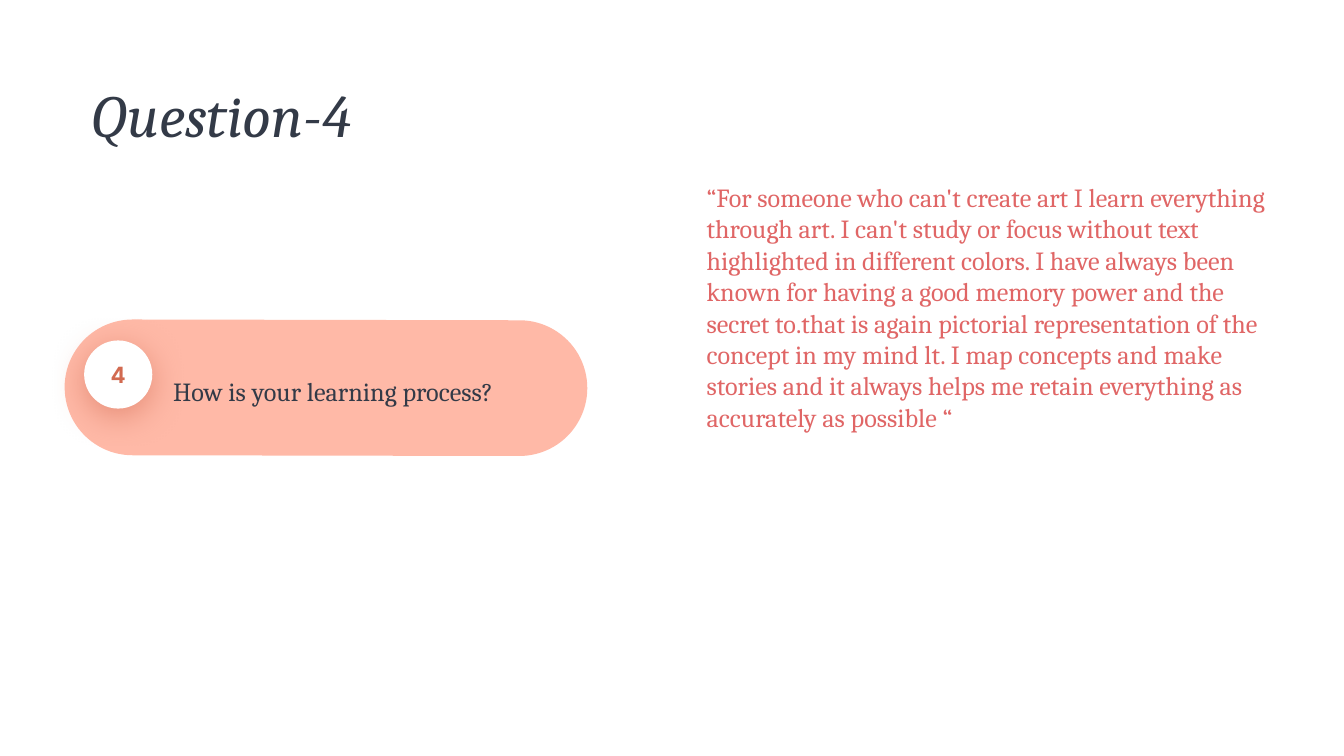
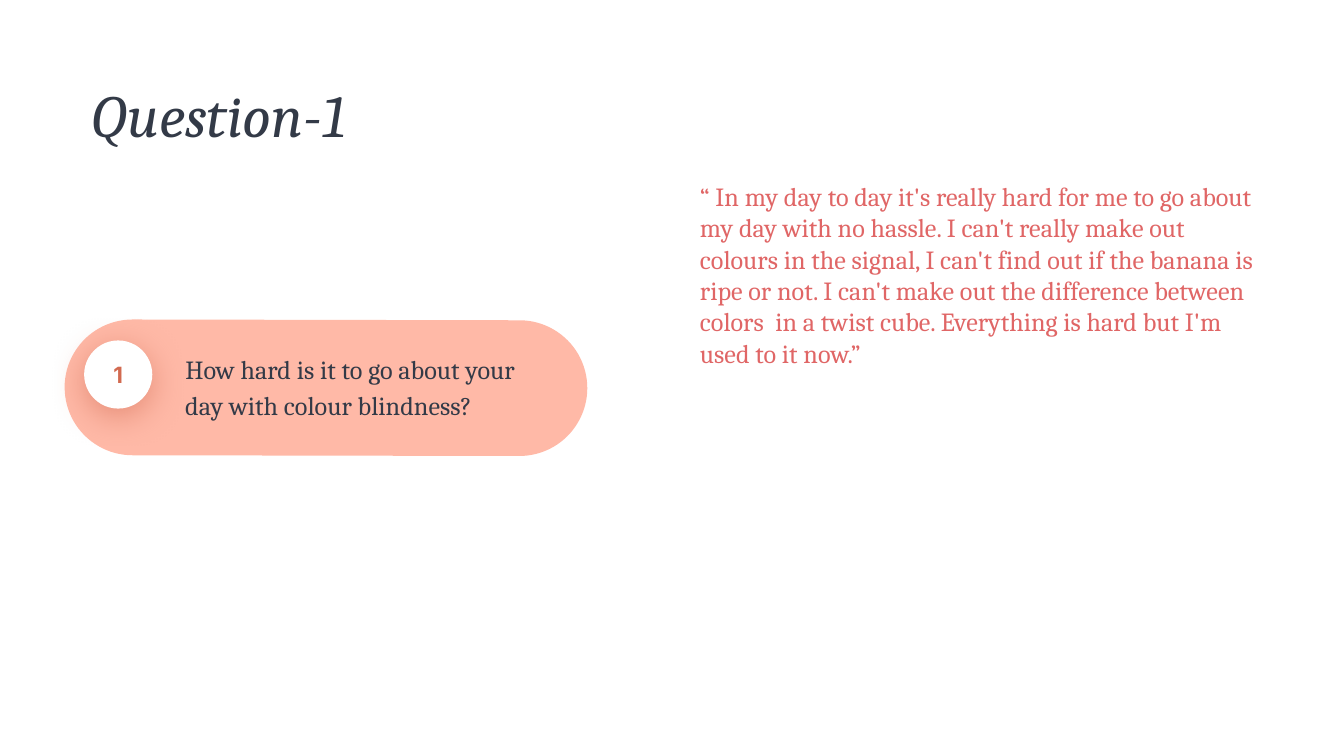
from lxml import etree
from pptx import Presentation
from pptx.dml.color import RGBColor
from pptx.enum import shapes, text
from pptx.oxml import ns
from pptx.util import Pt

SERIF, SANS = "Cambria", "Inter"
INK, PEACH, RUST, CORAL, WHITE = "333A47", "FFB9A7", "D26A50", "E06666", "FFFFFF"
TITLE_BOX = (48.5, 46.1, 323.3, 34.6)
PILL_BOX = (34.6, 171.4, 280, 72.7)
TILT = 0.1

QUESTIONS = [
    {
        "number": 4,
        "question": "How is your learning process?",
        "indent": 51.1,
        "height": 48.2,
        "answer": "“For someone who can't create art I learn everything through art. "
                  "I can't study or focus without text highlighted in different colors. "
                  "I have always been known for having a good memory power and the secret "
                  "to.that is again pictorial representation of the concept in my mind lt. "
                  "I map concepts and make stories and it always helps me retain everything "
                  "as accurately as possible “",
        "answer_box": (371.5, 90, 319, 167),
    },
    {
        "number": 1,
        "question": "How hard is it to go about your day with colour blindness?",
        "indent": 57.6,
        "height": 43.9,
        "answer": "“ In my day to day it's really hard for me to go about my day with no "
                  "hassle. I can't really make out colours in the signal, I can't find out "
                  "if the banana is ripe or not. I can't make out the difference between "
                  "colors  in a twist cube. Everything is hard but I'm used to it now.”",
        "answer_box": (367.9, 89.3, 319, 116.6),
    },
]


def rgb(value):
    """Turn a hex string into a colour."""
    return RGBColor.from_string(value)


def pts(box):
    """Turn a box of numbers into lengths in points."""
    return [Pt(v) for v in box]


def write(sp, words, size, color, font=SERIF, bold=False, italic=False,
          align=text.PP_ALIGN.LEFT, anchor=text.MSO_ANCHOR.MIDDLE,
          spacing=1.0, inset=7.2, fit=text.MSO_AUTO_SIZE.NONE):
    """Fill a shape with one formatted paragraph."""
    tf = sp.text_frame
    tf.word_wrap, tf.auto_size, tf.vertical_anchor = True, fit, anchor
    tf.margin_left = tf.margin_right = tf.margin_top = tf.margin_bottom = Pt(inset)
    p = tf.paragraphs[0]
    p.alignment, p.line_spacing = align, spacing
    r = p.add_run()
    r.text = words
    f = r.font
    f.name, f.size, f.bold, f.italic = font, Pt(size), bold, italic
    f.color.rgb = rgb(color)


def add_block(parent, kind, box, fill):
    """Add a borderless filled shape without a shadow."""
    sp = parent.add_shape(kind, *pts(box))
    sp.shadow.inherit = False
    sp.fill.solid()
    sp.fill.fore_color.rgb = rgb(fill)
    sp.line.fill.background()
    return sp


def add_glow(sp, color, alpha, blur, distance):
    """Cast a soft shadow straight down from a shape."""
    effects = sp._element.spPr.find(ns.qn("a:effectLst"))
    shadow = etree.SubElement(effects, ns.qn("a:outerShdw"), blurRad=str(Pt(blur)),
                              dist=str(Pt(distance)), dir="5400000",
                              algn="t", rotWithShape="0")
    tint = etree.SubElement(shadow, ns.qn("a:srgbClr"), val=color)
    etree.SubElement(tint, ns.qn("a:alpha"), val=str(alpha * 1000))


def add_title(s, box, words):
    """Place and format the slide title."""
    sp = s.shapes.title
    sp.left, sp.top, sp.width, sp.height = pts(box)
    write(sp, words, 32, INK, italic=True, spacing=0.9, inset=0)


def add_question(s, box, number, question, indent, height):
    """Draw the pill with its number badge and question."""
    x, y, w, h = box
    parts = s.shapes.add_group_shape().shapes
    upright = (x + (w - h) / 2, y + (h - w) / 2, h, w)
    pill = add_block(parts, shapes.MSO_SHAPE.ROUNDED_RECTANGLE, upright, PEACH)
    pill.adjustments[0] = 0.5
    pill.rotation = 90 + TILT

    badge = add_block(parts, shapes.MSO_SHAPE.OVAL, (x + 10.5, y + 11, 36.5, 36.5), WHITE)
    add_glow(badge, RUST, 55, 18, 4)
    write(badge, str(number), 12, RUST, font=SANS, bold=True, align=text.PP_ALIGN.CENTER)

    label = parts.add_textbox(*pts((x + indent, y + 12.9, w - 10 - indent, height)))
    label.rotation = TILT
    write(label, question, 14, INK, spacing=1.15)


def add_answer(s, box, words):
    """Place the quoted answer."""
    sp = s.shapes.add_textbox(*pts(box))
    write(sp, words, 14, CORAL, anchor=text.MSO_ANCHOR.TOP,
          fit=text.MSO_AUTO_SIZE.SHAPE_TO_FIT_TEXT)


def add_question_slide(prs, number, question, indent, height, answer, answer_box):
    """Build one interview question slide."""
    s = prs.slides.add_slide(prs.slide_layouts.get_by_name("Title Only"))
    add_title(s, TITLE_BOX, f"Question-{number}")
    add_question(s, PILL_BOX, number, question, indent, height)
    add_answer(s, answer_box, answer)


def main():
    """Build and save the deck."""
    prs = Presentation()
    prs.slide_width, prs.slide_height = Pt(720), Pt(405)
    for item in QUESTIONS:
        add_question_slide(prs, **item)
    prs.save("out.pptx")


if __name__ == "__main__":
    main()
